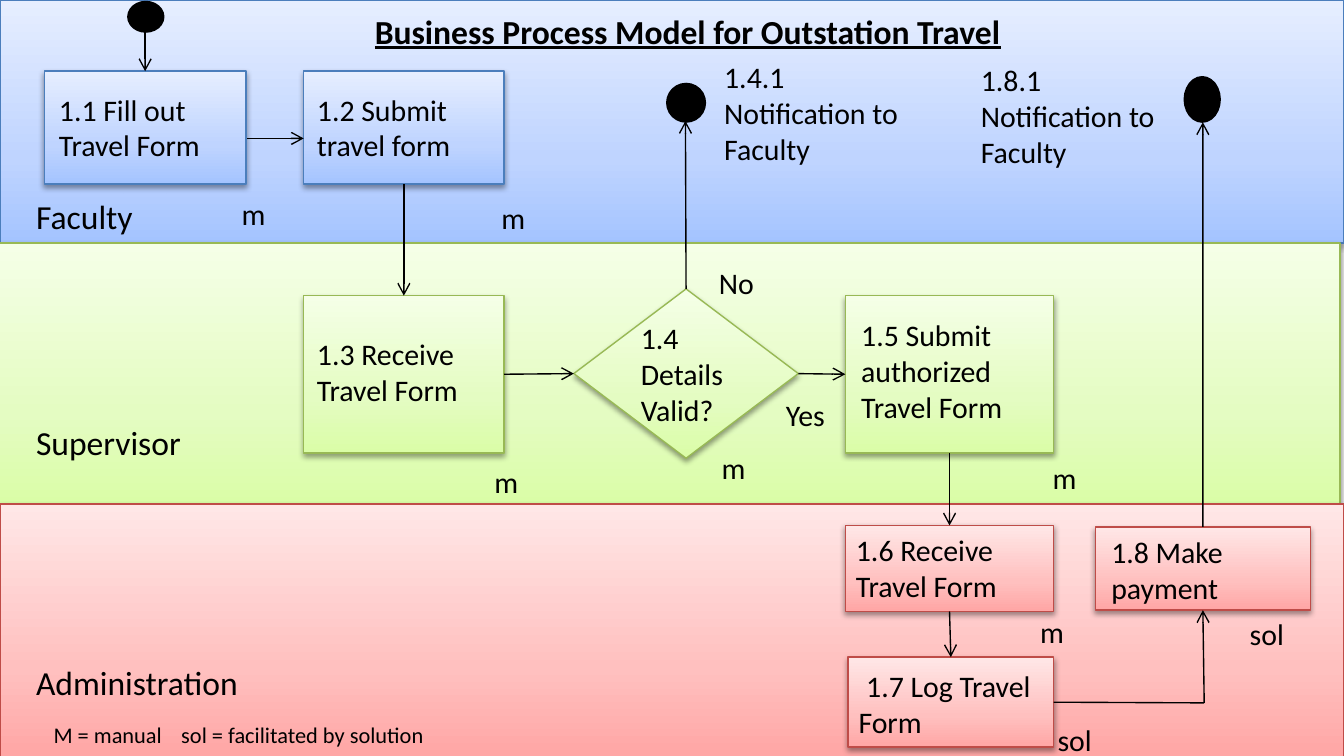
from dataclasses import dataclass

from pptx import Presentation
from pptx.dml.color import RGBColor
from pptx.enum.shapes import MSO_CONNECTOR, MSO_SHAPE
from pptx.enum.text import MSO_AUTO_SIZE
from pptx.oxml import parse_xml
from pptx.oxml.ns import qn
from pptx.util import Inches, Pt

RECTANGLE = MSO_SHAPE.RECTANGLE
DIAMOND = MSO_SHAPE.DIAMOND
TERMINAL = MSO_SHAPE.FLOWCHART_CONNECTOR
STRAIGHT = MSO_CONNECTOR.STRAIGHT
FIT_TEXT = MSO_AUTO_SIZE.SHAPE_TO_FIT_TEXT
TOP, LEFT, BOTTOM, RIGHT = range(4)
DRAWING = 'xmlns:a="http://schemas.openxmlformats.org/drawingml/2006/main"'


@dataclass(frozen=True)
class Palette:
    stops: tuple
    outline: str


@dataclass(frozen=True)
class Theme:
    blue = Palette(("A4C4FF", "BFD4FF", "E6EEFF"), "4B7EBC")
    green = Palette(("DAFDA7", "E4FCC2", "F5FFE7"), "98B955")
    red = Palette(("FFA6A5", "FFC0BF", "FFE7E7"), "BF4C48")
    ink = "000000"
    font = "Calibri"
    heading = 18
    body = 16
    legend = 12
    thin = 0.75
    thick = 2


THEME = Theme()


@dataclass(frozen=True)
class Box:
    left: float
    top: float
    width: float
    height: float

    def inside(self, left, top, width, height):
        return Box(self.left + left, self.top + top, width, height)

    def lengths(self):
        return [Inches(v) for v in (self.left, self.top, self.width, self.height)]


def add_panel(slide, box, palette, kind=RECTANGLE):
    """Shape with a vertical gradient, dark at the bottom, and a soft shadow."""
    shape = slide.shapes.add_shape(kind, *box.lengths())
    shape.line.color.rgb = RGBColor.from_string(palette.outline)
    shape.line.width = Pt(THEME.thin)
    stops = "".join(
        f'<a:gs pos="{place * 1000}"><a:srgbClr val="{color}"/></a:gs>'
        for place, color in zip((0, 35, 100), palette.stops)
    )
    gradient = parse_xml(
        f'<a:gradFill {DRAWING} rotWithShape="1"><a:gsLst>{stops}</a:gsLst>'
        '<a:lin ang="16200000" scaled="0"/></a:gradFill>'
    )
    shadow = parse_xml(
        f'<a:effectLst {DRAWING}><a:outerShdw blurRad="{Pt(3.1)}" dist="{Pt(1.6)}" '
        'dir="5400000" rotWithShape="0"><a:srgbClr val="000000">'
        '<a:alpha val="38000"/></a:srgbClr></a:outerShdw></a:effectLst>'
    )
    properties = shape._element.spPr
    properties.find(qn("a:prstGeom")).addnext(gradient)
    properties.append(shadow)
    return shape


def add_text(slide, box, *paragraphs, size=THEME.body, emphasis=False):
    """Each paragraph is a string or a list of (text, size) runs."""
    shape = slide.shapes.add_textbox(*box.lengths())
    frame = shape.text_frame
    frame.word_wrap = True
    frame.auto_size = FIT_TEXT
    for index, content in enumerate(paragraphs):
        paragraph = frame.add_paragraph() if index else frame.paragraphs[0]
        runs = [(content, size)] if isinstance(content, str) else content
        for text, run_size in runs:
            run = paragraph.add_run()
            run.text = text
            run.font.name = THEME.font
            run.font.size = Pt(run_size)
            run.font.color.rgb = RGBColor.from_string(THEME.ink)
            if emphasis:
                run.font.bold = run.font.underline = True
    return shape


def add_labels(slide, lane, labels):
    for text, left, top, width in labels:
        add_text(slide, lane.inside(left, top, width, 0.37), text)


def add_terminal(slide, box):
    shape = slide.shapes.add_shape(TERMINAL, *box.lengths())
    shape.shadow.inherit = False
    shape.fill.solid()
    shape.fill.fore_color.rgb = RGBColor.from_string(THEME.ink)
    shape.line.color.rgb = RGBColor.from_string(THEME.ink)
    shape.line.width = Pt(THEME.thick)


def add_flow(slide, start, end, arrow=True):
    """Each end is a point (x, y) or a pair (shape, side)."""
    points = [(0, 0) if hasattr(p[0], "shape_id") else p for p in (start, end)]
    flow = slide.shapes.add_connector(
        STRAIGHT, *[Inches(value) for point in points for value in point])
    for target, connect in ((start, flow.begin_connect), (end, flow.end_connect)):
        if hasattr(target[0], "shape_id"):
            connect(*target)
    flow.line.color.rgb = RGBColor.from_string(THEME.ink)
    flow.line.width = Pt(THEME.thin)
    if arrow:
        flow.line._get_or_add_ln().append(
            parse_xml(f'<a:tailEnd {DRAWING} type="arrow"/>'))
    flow._element.spPr.append(parse_xml(f"<a:effectLst {DRAWING}/>"))


def faculty_lane(slide, lane):
    add_panel(slide, lane, THEME.blue)
    add_panel(slide, lane.inside(0.33, 0.53, 1.5, 0.84), THEME.blue)
    submit = add_panel(slide, lane.inside(2.26, 0.53, 1.49, 0.84), THEME.blue)
    add_text(slide, lane.inside(0.34, 0.63, 1.58, 0.64), "1.1 Fill out Travel Form")
    add_text(slide, lane.inside(2.26, 0.63, 1.58, 0.64), "1.2 Submit travel form")
    for place in ((0.96, 0.02, 0.25, 0.21), (4.97, 0.63, 0.27, 0.27),
                  (8.82, 0.58, 0.25, 0.32)):
        add_terminal(slide, lane.inside(*place))
    add_text(slide, lane.inside(5.29, 0.39, 1.63, 0.91), "1.4.1 Notification to Faculty")
    add_text(slide, lane.inside(7.2, 0.41, 1.54, 0.91), "1.8.1 Notification to Faculty")
    add_text(slide, lane.inside(0.17, 1.41, 1.42, 0.4), "Faculty", size=THEME.heading)
    add_labels(slide, lane, [("m", 1.7, 1.41, 0.26), ("m", 3.66, 1.44, 0.17)])
    add_text(slide, lane.inside(2.69, 0.03, 5.42, 0.4),
             "Business Process Model for Outstation Travel",
             size=THEME.heading, emphasis=True)
    return submit


def supervisor_lane(slide, lane):
    add_panel(slide, lane, THEME.green)
    receive = add_panel(slide, lane.inside(2.29, 0.39, 1.49, 1.17), THEME.green)
    authorize = add_panel(slide, lane.inside(6.32, 0.39, 1.55, 1.17), THEME.green)
    decision = add_panel(slide, lane.inside(4.3, 0.34, 1.67, 1.26), THEME.green, DIAMOND)
    add_text(slide, lane.inside(2.29, 0.64, 1.58, 0.64), "1.3 Receive Travel Form")
    add_text(slide, lane.inside(6.34, 0.5, 1.67, 0.91), "1.5 Submit authorized Travel Form")
    add_text(slide, lane.inside(4.7, 0.52, 1.17, 0.91), "1.4", "Details Valid?")
    add_text(slide, lane.inside(0.2, 1.28, 1.67, 0.4), "Supervisor", size=THEME.heading)
    add_labels(slide, lane, [
        ("No", 5.28, 0.11, 0.58), ("Yes", 5.78, 1.09, 0.56), ("m", 3.61, 1.59, 0.26),
        ("m", 5.3, 1.49, 0.42), ("m", 7.78, 1.56, 0.18)])
    return receive, decision, authorize


def administration_lane(slide, lane):
    add_panel(slide, lane, THEME.red)
    receive = add_panel(slide, lane.inside(6.29, 0.16, 1.55, 0.64), THEME.red)
    log = add_panel(slide, lane.inside(6.31, 1.14, 1.53, 0.67), THEME.red)
    payment = add_panel(slide, lane.inside(8.15, 0.17, 1.6, 0.62), THEME.red)
    add_text(slide, lane.inside(6.27, 0.16, 1.58, 0.64), "1.6 Receive Travel Form")
    add_text(slide, lane.inside(6.29, 1.14, 1.5, 0.67),
             [(" ", THEME.heading), ("1.7 Log Travel Form", THEME.body)])
    add_text(slide, lane.inside(8.17, 0.17, 1.58, 0.64), "1.8 Make payment")
    add_text(slide, lane.inside(0.17, 1.13, 1.76, 0.4), "Administration", size=THEME.heading)
    legend = add_text(slide, lane.inside(0.3, 1.57, 5.42, 0.3),
                      "M = manual\tsol = facilitated by solution", size=THEME.legend)
    legend.text_frame.paragraphs[0]._p.get_or_add_pPr().append(parse_xml(
        f'<a:tabLst {DRAWING}><a:tab pos="{Inches(0.95)}" algn="l"/></a:tabLst>'))
    add_labels(slide, lane, [
        ("m", 7.64, 0.77, 0.3), ("sol", 7.77, 1.57, 0.69), ("sol", 9.2, 0.78, 0.58)])
    return receive, log, payment


def main():
    presentation = Presentation()
    presentation.slide_width = Inches(10)
    presentation.slide_height = presentation.slide_width * 9 // 16
    slide = presentation.slides.add_slide(presentation.slide_layouts[6])

    submit = faculty_lane(slide, Box(0, 0, 10, 1.81))
    receive, decision, authorize = supervisor_lane(slide, Box(-0.03, 1.81, 10, 1.94))
    admin_receive, log, payment = administration_lane(slide, Box(0, 3.75, 10, 1.88))

    corner = (8.96, 5.23)
    add_flow(slide, (1.08, 0.23), (1.08, 0.53))
    add_flow(slide, (1.84, 1.03), (2.26, 1.03))
    add_flow(slide, (submit, BOTTOM), (receive, TOP))
    add_flow(slide, (receive, RIGHT), (decision, LEFT))
    add_flow(slide, (decision, TOP), (5.1, 0.9))
    add_flow(slide, (decision, RIGHT), (authorize, LEFT))
    add_flow(slide, (authorize, BOTTOM), (admin_receive, TOP))
    add_flow(slide, (admin_receive, BOTTOM), (log, TOP))
    add_flow(slide, (log, RIGHT), corner, arrow=False)
    add_flow(slide, corner, (payment, BOTTOM))
    add_flow(slide, (payment, TOP), (8.95, 0.91))
    presentation.save("out.pptx")


if __name__ == "__main__":
    main()
